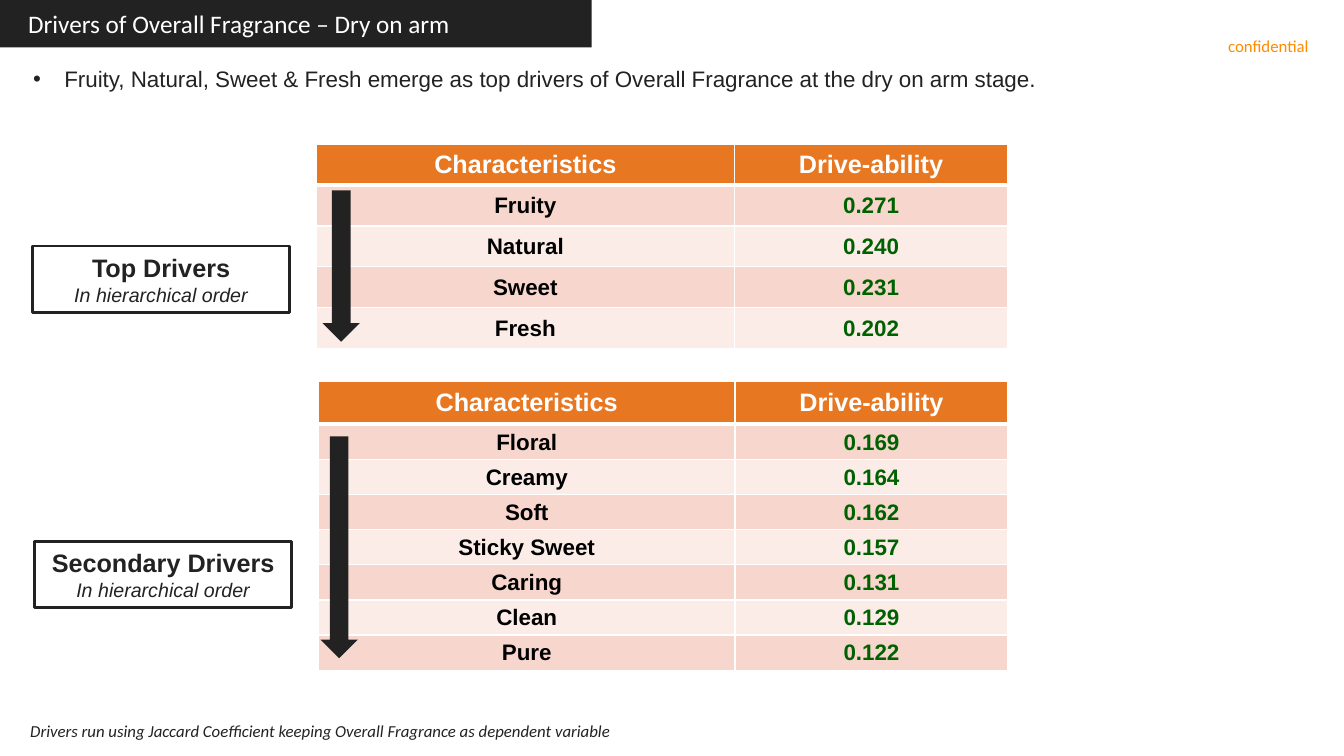
from lxml import etree
from pptx import Presentation
from pptx import util as u
from pptx.dml import color
from pptx.enum import shapes, text
from pptx.oxml import ns

WIDTH, HEIGHT = u.Inches(13.33), u.Inches(7.5)
COLUMN, ROW = WIDTH / 80, HEIGHT / 45
DARK, WHITE, ORANGE, GREEN, BLACK = "222223", "FFFFFF", "E87722", "006100", "000000"
BANDS = ("F6D6CD", "FBECE8")
HEADINGS = ("Characteristics", "Drive-ability")
TOP_DRIVERS = [("Fruity", "0.271"), ("Natural", "0.240"), ("Sweet", "0.231"), ("Fresh", "0.202")]
SECONDARY_DRIVERS = [
    ("Floral", "0.169"), ("Creamy", "0.164"), ("Soft", "0.162"), ("Sticky Sweet", "0.157"),
    ("Caring", "0.131"), ("Clean", "0.129"), ("Pure", "0.122"),
]


def rgb(value):
    """Turn a hex string into a colour."""
    return color.RGBColor.from_string(value)


def place(left, top, width, height):
    """Convert a box in grid columns and rows to slide lengths."""
    return int(left * COLUMN), int(top * ROW), int(width * COLUMN), int(height * ROW)


def write(frame, content, new=False, size=16, font="Arial", colour=DARK,
          bold=False, italic=False, align=text.PP_ALIGN.LEFT):
    """Write one formatted paragraph and return it."""
    paragraph = frame.add_paragraph() if new else frame.paragraphs[0]
    paragraph.alignment = align
    run = paragraph.add_run()
    run.text = content
    run.font.size, run.font.name = u.Pt(size), font
    run.font.bold, run.font.italic = bold, italic
    run.font.color.rgb = rgb(colour)
    return paragraph


def set_margins(target, horizontal, top, bottom):
    """Set the margins of a text frame or cell in inches."""
    target.margin_left = target.margin_right = u.Inches(horizontal)
    target.margin_top, target.margin_bottom = u.Inches(top), u.Inches(bottom)


def add_text(slide, box, content, margins=(0.1, 0.05, 0.05), wrap=True, **style):
    """Add a text box with one paragraph and return the paragraph."""
    frame = slide.shapes.add_textbox(*place(*box)).text_frame
    frame.word_wrap = wrap
    set_margins(frame, *margins)
    return write(frame, content, **style)


def add_shape(slide, kind, box, fill, line=None):
    """Add a flat preset shape."""
    shape = slide.shapes.add_shape(kind, *place(*box))
    shape.shadow.inherit = False
    shape.fill.solid()
    shape.fill.fore_color.rgb = rgb(fill)
    if line:
        shape.line.color.rgb = rgb(line)
        shape.line.width = u.Pt(2)
    else:
        shape.line.fill.background()
    return shape


def add_borders(cell, top, bottom):
    """Give a cell white borders, with top and bottom widths in points."""
    properties = cell._tc.get_or_add_tcPr()
    for side, width in (("L", 1), ("R", 1), ("T", top), ("B", bottom)):
        line = etree.SubElement(properties, ns.qn(f"a:ln{side}"), w=str(u.Pt(width)))
        fill = etree.SubElement(line, ns.qn("a:solidFill"))
        etree.SubElement(fill, ns.qn("a:srgbClr"), val=WHITE)


def add_driver_table(slide, box, header_height, drivers):
    """Fill the box with a banded table of drivers."""
    left, top, width, height = box
    rows = [HEADINGS, *drivers]
    table = slide.shapes.add_table(len(rows), 2, *place(*box)).table
    for column, share in zip(table.columns, (0.604, 0.396)):
        column.width = int(width * share * COLUMN)
    row_height = (height - header_height) / len(drivers)
    for index, values in enumerate(rows):
        header = index == 0
        table.rows[index].height = int((header_height if header else row_height) * ROW)
        for cell, value, colour in zip(table.rows[index].cells, values, (BLACK, GREEN)):
            add_borders(cell, 3 if index == 1 else 1, 3 if header else 1)
            cell.fill.solid()
            cell.fill.fore_color.rgb = rgb(ORANGE if header else BANDS[(index - 1) % 2])
            cell.vertical_anchor = text.MSO_ANCHOR.MIDDLE
            set_margins(cell, *((0.1, 0.05, 0.05) if header else (0.01, 0.01, 0)))
            write(cell.text_frame, value, size=18 if header else 16, bold=True,
                  colour=WHITE if header else colour, align=text.PP_ALIGN.CENTER)


def add_driver_panel(slide, box, header_height, label, label_drop, arrow, drivers):
    """Place a driver table with its label on the left and its order arrow."""
    left, top, width, height = box
    add_driver_table(slide, box, header_height, drivers)
    label_box = (left - 16.9, top + label_drop, 15.3, 3.96)
    frame = add_shape(slide, shapes.MSO_SHAPE.RECTANGLE, label_box, WHITE, DARK).text_frame
    frame.word_wrap = True
    frame.vertical_anchor = text.MSO_ANCHOR.MIDDLE
    write(frame, label, size=18, bold=True, align=text.PP_ALIGN.CENTER)
    write(frame, "In hierarchical order", new=True, size=14, italic=True,
          align=text.PP_ALIGN.CENTER)
    inset, drop, length = arrow
    add_shape(slide, shapes.MSO_SHAPE.DOWN_ARROW, (left + inset, top + drop, 2.22, length), DARK)


def add_title_bar(slide, box):
    """Draw the dark bar with the slide title."""
    left, top, width, height = box
    add_shape(slide, shapes.MSO_SHAPE.RECTANGLE, box, DARK)
    add_text(slide, (left + 1.08, top + 0.18, 26.58, 2.4), "Drivers of Overall Fragrance – Dry on arm",
             wrap=False, size=18, font="Calibri", colour=WHITE)


def add_key_message(slide, box):
    """Write the bulleted key message."""
    paragraph = add_text(slide, box, "Fruity, Natural, Sweet & Fresh emerge as top drivers of "
                         "Overall Fragrance at the dry on arm stage.")
    properties = paragraph._p.get_or_add_pPr()
    indent = u.Inches(0.31)
    properties.set("marL", str(indent))
    properties.set("indent", str(-indent))
    etree.SubElement(properties, ns.qn("a:buFont"), typeface="Arial")
    etree.SubElement(properties, ns.qn("a:buChar"), char="•")


def main():
    """Build and save the drivers slide."""
    presentation = Presentation()
    presentation.slide_width, presentation.slide_height = WIDTH, HEIGHT
    slide = presentation.slides.add_slide(presentation.slide_layouts[6])
    add_text(slide, (73.1, 2.1, 5.04, 1.2), "confidential", margins=(0, 0, 0), wrap=False,
             size=12, font="Calibri", colour="FF8C00")
    add_title_bar(slide, (0, 0, 35.22, 2.82))
    add_key_message(slide, (1.38, 3.6, 76.1, 2.22))
    add_driver_panel(slide, (18.84, 8.58, 41.16, 12.18), 2.44, "Top Drivers", 6.06,
                     (0.36, 2.76, 9), TOP_DRIVERS)
    add_driver_panel(slide, (18.96, 22.68, 41.04, 17.22), 2.58, "Secondary Drivers", 9.54,
                     (0.12, 3.3, 13.2), SECONDARY_DRIVERS)
    add_text(slide, (1.02, 42.48, 46.68, 2.04),
             "Drivers run using Jaccard Coefficient keeping Overall Fragrance as dependent variable",
             margins=(0.13, 0.07, 0.07), size=12, font="Calibri", italic=True)
    presentation.save("out.pptx")


if __name__ == "__main__":
    main()
